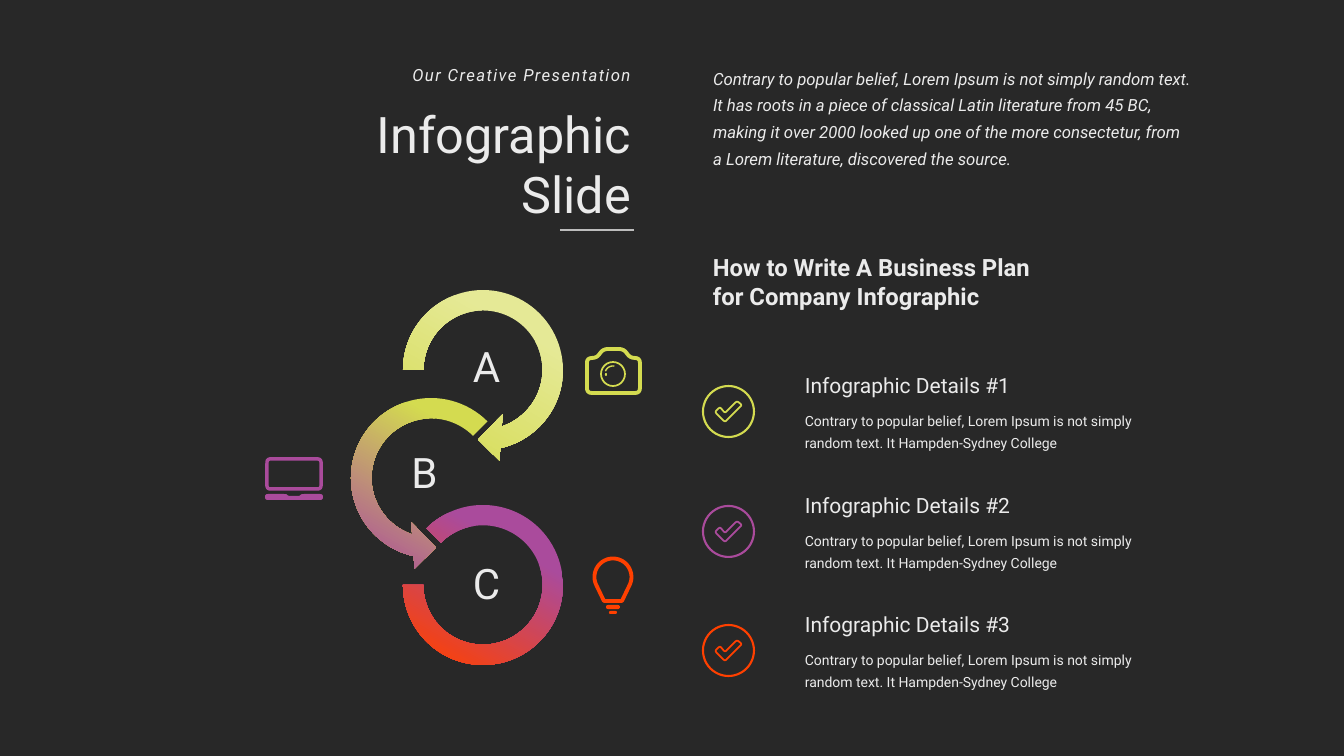
from math import cos, radians, sin

from lxml import etree
from pptx import Presentation
from pptx.dml.color import RGBColor
from pptx.enum.shapes import MSO_CONNECTOR, MSO_SHAPE
from pptx.enum.text import MSO_ANCHOR, MSO_AUTO_SIZE, PP_ALIGN
from pptx.oxml.ns import qn
from pptx.util import Emu, Pt

LEFT, CENTER, RIGHT = PP_ALIGN.LEFT, PP_ALIGN.CENTER, PP_ALIGN.RIGHT
OVAL, ROUNDED = MSO_SHAPE.OVAL, MSO_SHAPE.ROUNDED_RECTANGLE
EMU_PER_PX = 914400 / 100.8
FONT = "Roboto"
DARK, LIGHT, GREY = "282828", "EBEBEB", "BDBDBD"
PALE, LIME, PURPLE, ORANGE = "E5E996", "D4DB50", "AA4B9C", "FF4000"

# Content; boxes are left, top, width, height in px
TITLE = "Infographic Slide"
TAGLINE = "Our Creative Presentation"
INTRO = ("Contrary to popular belief, Lorem Ipsum is not simply random text. "
         "It has roots in a piece of classical Latin literature from 45 BC, "
         "making it over 2000 looked up one of the more consectetur, "
         "from a Lorem literature, discovered the source.")
HEADING = "How to Write A Business Plan for Company Infographic"
DETAIL = ("Contrary to popular belief, Lorem Ipsum is not simply random text. "
          "It Hampden-Sydney College")
DETAILS = [("Infographic Details #1", LIME),
           ("Infographic Details #2", PURPLE),
           ("Infographic Details #3", ORANGE)]
DETAIL_PITCH = 119.5
RINGS = [
    (MSO_SHAPE.CIRCULAR_ARROW, (390, 277, 186, 186),
     (0.11, 11.423, 45, 108, 0.125), PALE, LIME),
    (MSO_SHAPE.LEFT_CIRCULAR_ARROW, (338, 385, 186, 186),
     (0.11, 11.423, 63, 189, 0.125), LIME, PURPLE),
    (MSO_SHAPE.BLOCK_ARC, (403, 505, 160, 160),
     (135, 108, 0.127), PURPLE, ORANGE),
]
LETTERS = [("A", 453, 336), ("B", 391, 442), ("C", 453, 553)]

# Icon outlines in px
CAMERA_BODY = [(587, 358), (597, 358), (603, 349), (624, 349), (630, 358),
               (640, 358), (640, 393), (587, 393)]
LAPTOP_BASE = [(265, 494), (287, 494), (288, 496), (300, 496), (301, 494),
               (323, 494), (323, 500), (265, 500)]
BULB_NECK = [(622, 601), (604, 601)]
BULB_BARS = [(606, 605, 14, 4), (609, 611, 8, 3)]
TICK = [(-13, 0), (-8, -5), (-3, 1), (9, -11), (14, -7), (-3, 10)]


def px(length):
    return Emu(round(length * EMU_PER_PX))


def rgb(value):
    return RGBColor.from_string(value)


def write(box, text, size, align=LEFT, bold=False, italic=False,
          spacing=None, tracking=None):
    frame = box.text_frame
    frame.text = text
    frame.word_wrap = True
    frame.auto_size = MSO_AUTO_SIZE.NONE
    frame.vertical_anchor = MSO_ANCHOR.TOP
    para = frame.paragraphs[0]
    para.alignment = align
    para.space_before = Pt(0)
    if spacing:
        para.line_spacing = Pt(spacing)
    span = para.runs[0]
    span.font.name, span.font.size = FONT, Pt(size)
    span.font.bold, span.font.italic = bold, italic
    span.font.color.rgb = rgb(LIGHT)
    if tracking:
        span.font._element.set("spc", str(tracking * 100))
    return para


def place(box, left, top, width, height):
    box.left, box.top = px(left), px(top)
    box.width, box.height = px(width), px(height)


def add_text(page, bounds, text, size, **style):
    box = page.shapes.add_textbox(*map(px, bounds))
    write(box, text, size, **style)


def paint(shape, fill=None, line=None, weight=0):
    shape.shadow.inherit = False
    if fill:
        shape.fill.solid()
        shape.fill.fore_color.rgb = rgb(fill)
    else:
        shape.fill.background()
    if line:
        shape.line.color.rgb = rgb(line)
        shape.line.width = Pt(weight)
    else:
        shape.line.fill.background()


def add_preset(page, kind, bounds, **style):
    shape = page.shapes.add_shape(kind, *map(px, bounds))
    paint(shape, **style)
    return shape


def add_outline(page, points, closed=True, **style):
    corners = [(px(x), px(y)) for x, y in points]
    builder = page.shapes.build_freeform(*corners[0], scale=1.0)
    builder.add_line_segments(corners[1:], close=closed)
    paint(builder.convert_to_shape(), **style)


def arc(x, y, radius, start, end, steps=40):
    angles = [radians(start + (end - start) * i / steps) for i in range(steps + 1)]
    return [(x + radius * cos(a), y + radius * sin(a)) for a in angles]


def rounded(points, radius):
    """Replace each corner by a short quadratic curve."""
    curve = []
    for i, (x, y) in enumerate(points):
        ends = []
        for nx, ny in (points[i - 1], points[(i + 1) % len(points)]):
            length = ((nx - x) ** 2 + (ny - y) ** 2) ** 0.5
            share = min(radius / length, 0.5)
            ends.append((x + (nx - x) * share, y + (ny - y) * share))
        (ax, ay), (bx, by) = ends
        for t in (0, 0.25, 0.5, 0.75, 1):
            a, c, b = (1 - t) ** 2, 2 * t * (1 - t), t ** 2
            curve.append((a * ax + c * x + b * bx, a * ay + c * y + b * by))
    return curve


def add_header(page):
    title, body = page.placeholders
    place(title, 265, 98, 376, 132)
    write(title, TITLE, 36, align=RIGHT)
    add_text(page, (340, 60, 301, 30), TAGLINE, 12, align=RIGHT,
             italic=True, tracking=1)
    rule = page.shapes.add_connector(MSO_CONNECTOR.STRAIGHT,
                                     px(560), px(230), px(634), px(230))
    rule.line.color.rgb = rgb(GREY)
    rule.line.width = Pt(2)
    etree.SubElement(rule._element.spPr, qn("a:effectLst"))

    place(body, 703, 57, 499, 115)
    properties = write(body, INTRO, 12, italic=True, spacing=19)._p.get_or_add_pPr()
    properties.set("marL", "0")
    properties.set("indent", "0")
    etree.SubElement(properties, qn("a:buNone"))
    add_text(page, (703, 248, 357, 68), HEADING, 17, bold=True)


def add_rings(page):
    for kind, bounds, adjustments, first, last in RINGS:
        ring = add_preset(page, kind, bounds)
        for i, value in enumerate(adjustments):
            ring.adjustments[i] = value
        ring.fill.gradient()
        ring.fill.gradient_angle = 240
        stops = ring.fill.gradient_stops
        for stop, position, color in zip(stops, (0.28, 0.96), (first, last)):
            stop.position = position
            stop.color.rgb = rgb(color)
    for letter, left, top in LETTERS:
        add_text(page, (left, top, 67, 61), letter, 30, align=CENTER)


def add_icons(page):
    # Laptop
    screen = add_preset(page, ROUNDED, (267, 459, 54, 30), line=PURPLE, weight=2.5)
    screen.adjustments[0] = 0.1
    add_outline(page, rounded(LAPTOP_BASE, 3), fill=PURPLE)
    # Light bulb
    add_outline(page, arc(613, 577, 18.5, 155, 385) + BULB_NECK,
                line=ORANGE, weight=2.75)
    for bounds in BULB_BARS:
        add_preset(page, ROUNDED, bounds, fill=ORANGE).adjustments[0] = 0.5
    # Camera
    add_outline(page, rounded(CAMERA_BODY, 5), line=LIME, weight=2.75)
    add_preset(page, OVAL, (601, 362, 24, 24), line=LIME, weight=1.25)
    add_outline(page, arc(613, 374, 8, 200, 280), closed=False,
                line=LIME, weight=1)
    add_preset(page, OVAL, (605, 373, 2, 3), fill=LIME)


def add_details(page):
    for row, (heading, color) in enumerate(DETAILS):
        shift = round(row * DETAIL_PITCH)
        tick = [(728 + x, 412 + shift + y) for x, y in TICK]
        add_outline(page, rounded(tick, 2), line=color, weight=1.25)
        add_preset(page, OVAL, (703, 386 + shift, 51, 51), line=color, weight=1.5)
        add_text(page, (795, 368 + shift, 306, 35), heading, 15)
        add_text(page, (795, 402 + shift, 397, 53), DETAIL, 10, spacing=16)


def main():
    deck = Presentation()
    deck.slide_width, deck.slide_height = px(1344), px(756)
    page = deck.slides.add_slide(deck.slide_layouts[1])
    page.background.fill.solid()
    page.background.fill.fore_color.rgb = rgb(DARK)
    add_header(page)
    add_rings(page)
    add_icons(page)
    add_details(page)
    deck.save("out.pptx")


if __name__ == "__main__":
    main()
